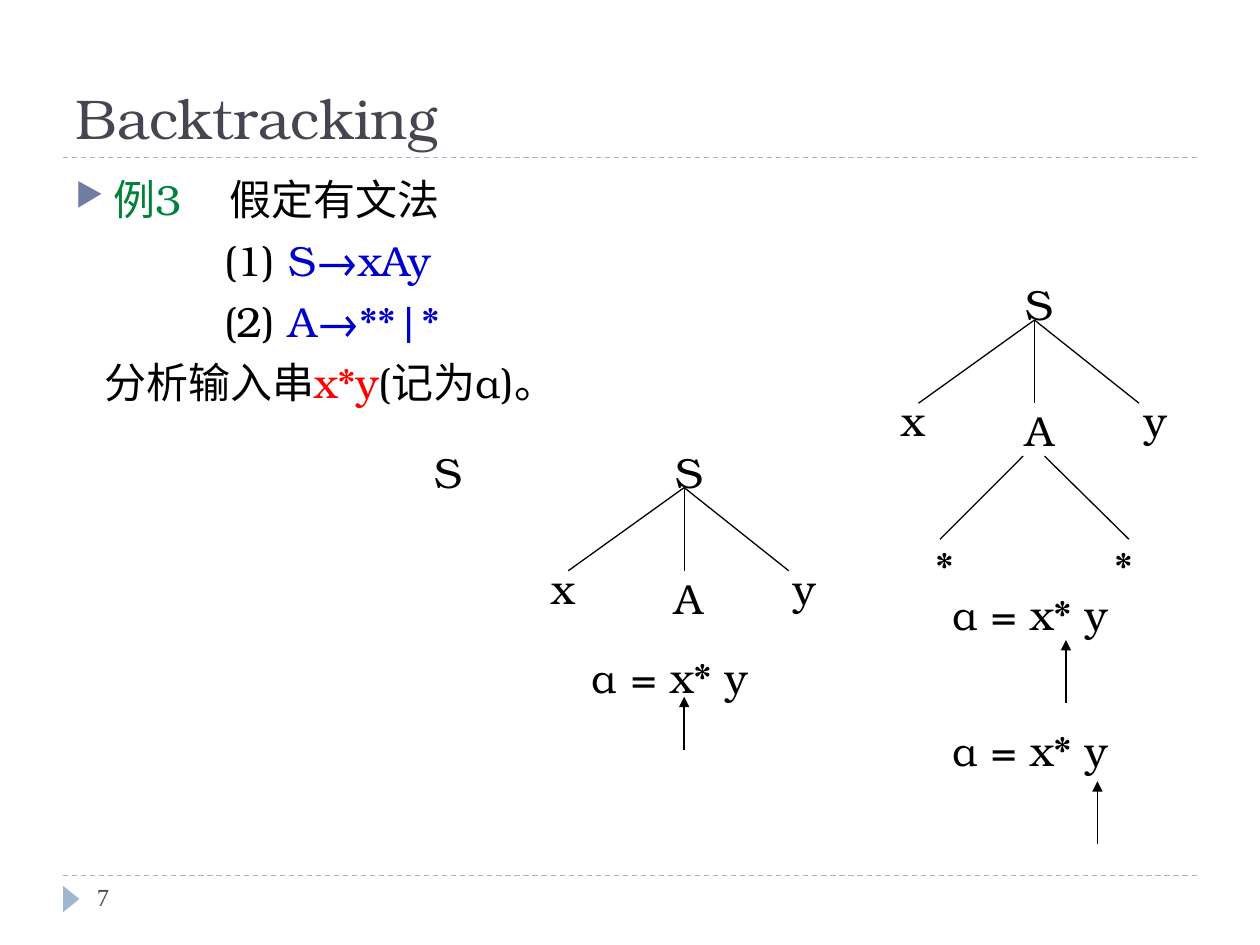
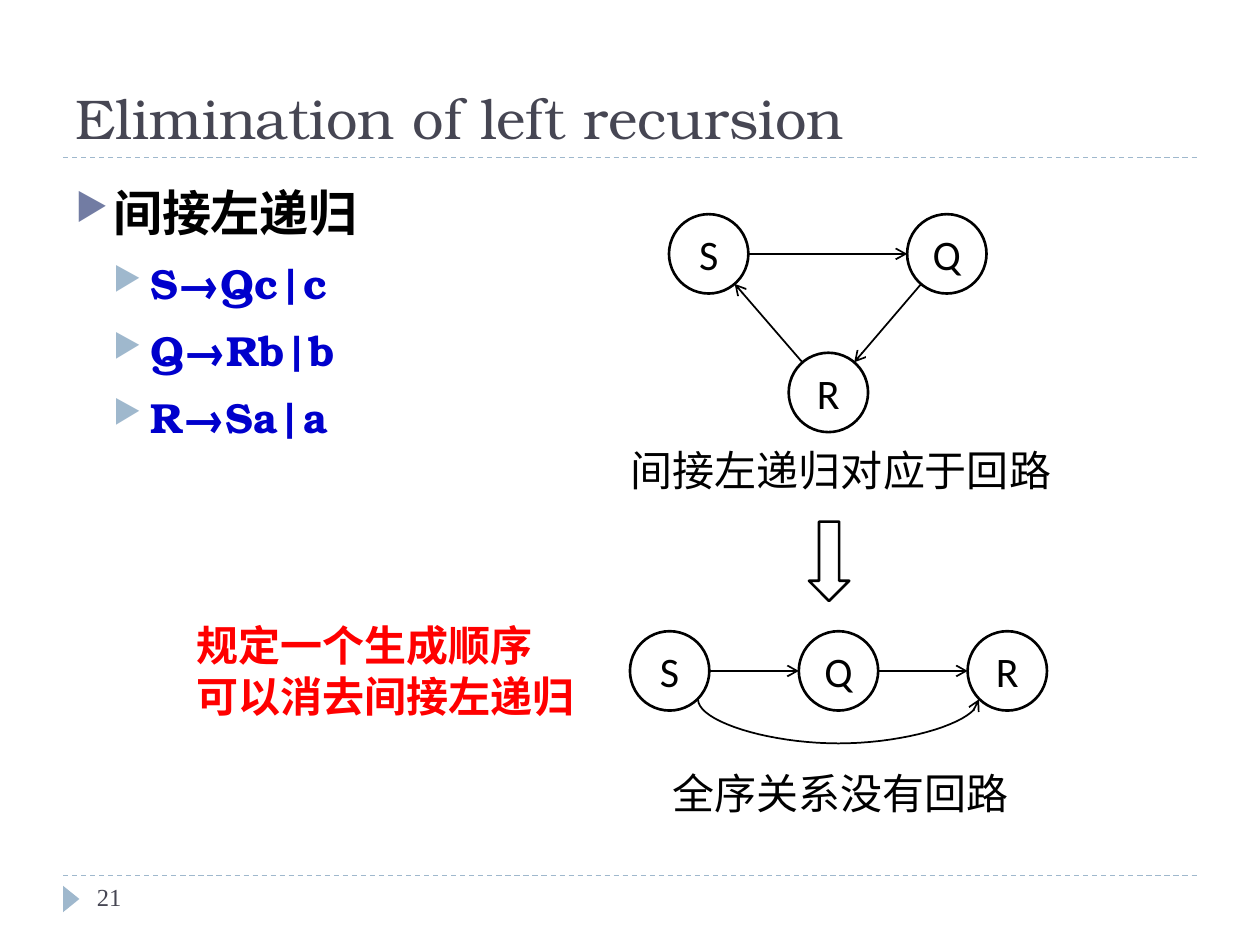
from math import hypot
from lxml import etree
from pptx import Presentation
from pptx.dml.color import RGBColor
from pptx.enum.dml import MSO_LINE
from pptx.enum.shapes import MSO_CONNECTOR, MSO_SHAPE
from pptx.enum.text import MSO_ANCHOR, PP_ALIGN
from pptx.oxml.ns import qn
from pptx.util import Inches, Pt

DASH = MSO_LINE.DASH
LINE = MSO_CONNECTOR.STRAIGHT
OVAL, DOWN, WEDGE = MSO_SHAPE.OVAL, MSO_SHAPE.DOWN_ARROW, MSO_SHAPE.ISOSCELES_TRIANGLE
TOP, MID, LOW = MSO_ANCHOR.TOP, MSO_ANCHOR.MIDDLE, MSO_ANCHOR.BOTTOM
LEFT, MIDST = PP_ALIGN.LEFT, PP_ALIGN.CENTER

WIDE, HIGH, EDGE = 10, 7.5, 0.5
BLACK, WHITE, BLUE, RED, GREEN = "000000", "FFFFFF", "0000CC", "FF0000", "00823B"
INK, PALE, DEEP = "464653", "9FB8CD", "727CA3"
BONUM, TIMES, PLAIN = "TeX Gyre Bonum", "Times New Roman", "Calibri"

HEAD = {"left": 0.3, "hang": -0.3, "mark": DEEP, "tab": 1.22}
RULE = {"left": 1.18}
ITEM = {"left": 0.6, "hang": -0.3, "mark": PALE, "gap": 5}

TRACK = [
    (HEAD, [("例3\t", GREEN), ("假定有文法", BLACK)]),
    (RULE, [("(1) ", BLACK), ("S→xAy", BLUE)]),
    (RULE, [("(2) ", BLACK), ("A→**|*", BLUE)]),
    ({"left": 0.23}, [("分析输入串", BLACK), ("x*y", RED), ("(记为α)。", BLACK)]),
]
LOOP = [({**HEAD, "size": 28}, [("间接左递归", BLACK)])]
LOOP += [(ITEM, [(rule, BLUE)]) for rule in ("S→Qc|c", "Q→Rb|b", "R→Sa|a")]

INPUT = "α = x* y"
LEAVES = [("x", -1, 0.92, -0.92), ("A", 0, 1, 0), ("y", 0.92, 0.92, 0.83)]
TREES = [(5.26, 3.53), (8.04, 2.2)]
STEPS = [(4.6, 5.12, 5.43, 5.95, 5.53, 1),
         (7.46, 4.62, 8.46, 5.58, 5.08, 0.75),
         (7.46, 5.7, 8.71, 6.7, 6.2, 0.75)]
STARS = [(7.29, 8.12, 7.46), (8.71, 8.29, 8.96)]

SIDE = 0.63
RING = {"S": (5.31, 1.7), "Q": (7.2, 1.7), "R": (6.26, 2.8)}
CHAIN = {name: (5 + 1.34 * i, 5.01) for i, name in enumerate("SQR")}
NOTES = [(4.91, 3.48, 3.8, 0.5, ["间接左递归对应于回路"], BLACK, False),
         (5.24, 6.04, 3.2, 0.5, ["全序关系没有回路"], BLACK, False),
         (1.46, 4.87, 3.6, 0.91, ["规定一个生成顺序", "可以消去间接左递归"], RED, True)]


def hue(code):
    return RGBColor.from_string(code)


def apply(thing, look):
    for name, value in look.items():
        setattr(thing, name, value)


def style(font, face=BONUM, size=24, tint=BLACK, bold=False):
    apply(font, {"name": face, "size": Pt(size), "bold": bold})
    font.color.rgb = hue(tint)


def place(shape, *box):
    apply(shape, dict(zip(("left", "top", "width", "height"), map(Inches, box))))


def frame(shape, anchor=TOP, inset=None):
    text = shape.text_frame
    apply(text, {"word_wrap": True, "vertical_anchor": anchor})
    if inset is not None:
        apply(text, {f"margin_{s}": Inches(inset) for s in ("left", "right", "top", "bottom")})
    return text


def write(shape, lines, align=LEFT, anchor=TOP, inset=None, **look):
    text = frame(shape, anchor, inset)
    for i, line in enumerate(lines):
        para = text.add_paragraph() if i else text.paragraphs[0]
        para.alignment = align
        run = para.add_run()
        run.text = line
        style(run.font, **look)


def note(slide, box, lines, **look):
    write(slide.shapes.add_textbox(*map(Inches, box)), lines, **look)


def label(slide, x, y, name):
    note(slide, (x, y, 0.42, 0.42), [name], align=MIDST, anchor=MID, inset=0)


def stroke(shape, width=0.75, tint=BLACK, tip=None, dash=None):
    shape.line.color.rgb = hue(tint)
    shape.line.width = Pt(width)
    if dash:
        shape.line.dash_style = dash
    props = shape._element.spPr
    if tip:
        etree.SubElement(props.find(qn("a:ln")), qn("a:tailEnd"), type=tip)
    etree.SubElement(props, qn("a:effectLst"))


def link(slide, start, end, **look):
    stroke(slide.shapes.add_connector(LINE, *map(Inches, (*start, *end))), **look)


def solid(slide, kind, box, fill):
    shape = slide.shapes.add_shape(kind, *map(Inches, box))
    shape.shadow.inherit = False
    shape.fill.solid()
    shape.fill.fore_color.rgb = hue(fill)
    return shape


def edged(slide, kind, box):
    shape = solid(slide, kind, box, WHITE)
    shape.line.color.rgb = hue(BLACK)
    shape.line.width = Pt(1.5)
    return shape


def layer(para, look):
    props = para._p.get_or_add_pPr()
    props.set("marL", str(Inches(look["left"])))
    props.set("indent", str(Inches(look.get("hang", 0))))
    if "mark" in look:
        tint = etree.SubElement(props, qn("a:buClr"))
        etree.SubElement(tint, qn("a:srgbClr"), val=look["mark"])
        etree.SubElement(props, qn("a:buSzPct"), val="76000")
        etree.SubElement(props, qn("a:buChar"), char="▶")
    else:
        etree.SubElement(props, qn("a:buNone"))
    if "tab" in look:
        tabs = etree.SubElement(props, qn("a:tabLst"))
        etree.SubElement(tabs, qn("a:tab"), pos=str(Inches(look["tab"])), algn="l")


def body(slide, box, rows, space=1, bold=False):
    text = frame(slide.shapes.add_textbox(*map(Inches, box)))
    for i, (look, runs) in enumerate(rows):
        para = text.add_paragraph() if i else text.paragraphs[0]
        layer(para, look)
        para.line_spacing = space
        para.space_before = Pt(look.get("gap", 6) if i else 0)
        for words, tint in runs:
            run = para.add_run()
            run.text = words
            style(run.font, size=look.get("size", 24), tint=tint, bold=bold)


def base(deck, title, number):
    slide = deck.slides.add_slide(deck.slide_layouts[5])
    for y in (6.95, 1.25):
        link(slide, (EDGE, y), (WIDE - EDGE, y), tint=PALE, dash=DASH)
    wedge = solid(slide, WEDGE, (0.46, 7.07, 0.21, 0.13), PALE)
    wedge.rotation = 90
    wedge.line.fill.background()
    place(slide.shapes.title, EDGE, 0.17, WIDE - 2 * EDGE, 1.08)
    write(slide.shapes.title, [title], anchor=LOW, size=32, tint=INK)
    note(slide, (0.67, 6.95, 2.17, 0.4), [number], face=TIMES, size=14, tint=INK)
    return slide


def tree(slide, x, y):
    label(slide, x, y, "S")
    root = (x + 0.17, y + 0.34)
    for name, dx, dy, run in LEAVES:
        label(slide, x + dx, y + dy, name)
        link(slide, root, (root[0] + run, y + 1))


def nodes(slide, spots):
    for name, spot in spots.items():
        disc = edged(slide, OVAL, (*spot, SIDE, SIDE))
        write(disc, [name], align=MIDST, anchor=MID, inset=0, face=PLAIN)


def edges(slide, spots, pairs):
    for one, two in pairs:
        (ax, ay), (bx, by) = [(x + SIDE / 2, y + SIDE / 2) for x, y in (spots[one], spots[two])]
        share = SIDE / 2 / hypot(bx - ax, by - ay)
        dx, dy = (bx - ax) * share, (by - ay) * share
        link(slide, (ax + dx, ay + dy), (bx - dx, by - dy), width=1, tip="arrow")


def bend(a, b, c, d, t):
    u = 1 - t
    return tuple(Inches(u**3 * p + 3 * u * u * t * q + 3 * u * t * t * r + t**3 * s)
                 for p, q, r, s in zip(a, b, c, d))


def arc(slide, left, right, top, low, steps=20):
    mid, half = (left + right) / 2, (top + low) / 2
    sides = [((left, top), (left, half), ((left + mid) / 2, low), (mid, low)),
             ((mid, low), ((mid + right) / 2, low), (right, half), (right, top))]
    dots = [bend(*side, i / steps) for side in sides for i in range(1, steps + 1)]
    pen = slide.shapes.build_freeform(Inches(left), Inches(top))
    pen.add_line_segments(dots, close=False)
    curve = pen.convert_to_shape()
    curve.fill.background()
    stroke(curve, width=1, tip="arrow")


def backtrack(deck):
    slide = base(deck, "Backtracking", "7")
    body(slide, (EDGE, 1.33, 9, 5.4), TRACK)
    label(slide, 3.35, 3.53, "S")
    for spot in TREES:
        tree(slide, *spot)
    for x, start, end in STARS:
        label(slide, x, 4.28, "*")
        link(slide, (start, 3.62), (end, 4.28))
    for x, y, at, low, top, width in STEPS:
        note(slide, (x, y, 2, 0.5), [INPUT], anchor=MID)
        link(slide, (at, low), (at, top), width=width, tip="triangle")


def recurse(deck):
    slide = base(deck, "Elimination of left recursion", "21")
    body(slide, (EDGE, 1.33, 2.9, 2.35), LOOP, space=1.15, bold=True)
    nodes(slide, RING)
    edges(slide, RING, ("SQ", "QR", "RS"))
    nodes(slide, CHAIN)
    edges(slide, CHAIN, ("SQ", "QR"))
    arc(slide, 5.54, 7.77, 5.55, 5.9)
    edged(slide, DOWN, (6.42, 4.14, 0.32, SIDE))
    for *box, lines, tint, bold in NOTES:
        note(slide, box, lines, face=TIMES, tint=tint, bold=bold)


def main():
    deck = Presentation()
    deck.slide_width, deck.slide_height = Inches(WIDE), Inches(HIGH)
    backtrack(deck)
    recurse(deck)
    deck.save("out.pptx")


if __name__ == "__main__":
    main()
